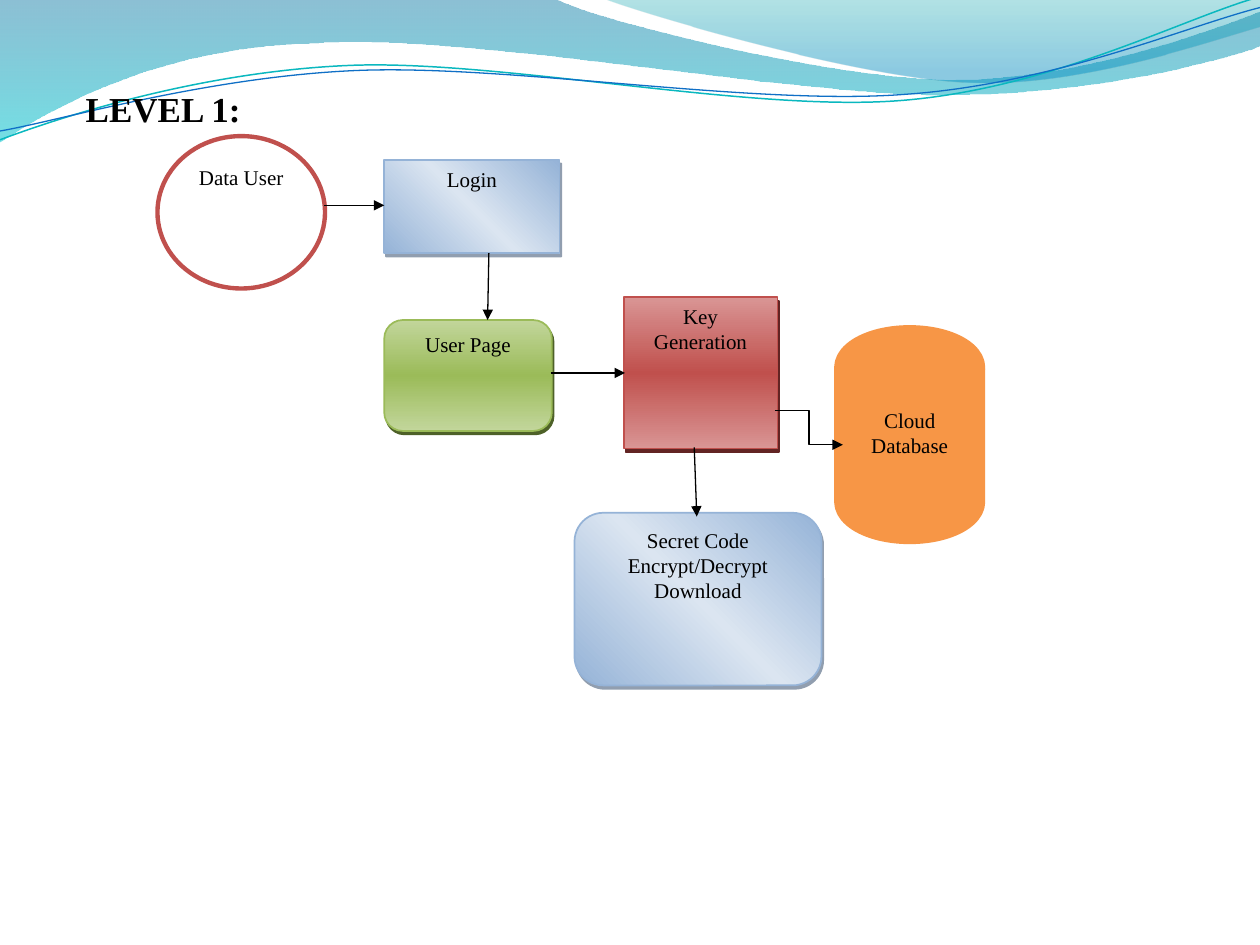
from dataclasses import dataclass
from typing import Optional

import lxml.etree
import pptx
import pptx.dml.color
import pptx.enum.shapes
import pptx.enum.text
import pptx.oxml.ns
import pptx.util

Inches = pptx.util.Inches
Pt = pptx.util.Pt
Kind = pptx.enum.shapes.MSO_SHAPE
Align = pptx.enum.text.PP_ALIGN
Anchor = pptx.enum.text.MSO_ANCHOR
qn = pptx.oxml.ns.qn
FONT = "Times New Roman"
BLACK = "000000"


@dataclass
class Gradient:
    stops: list  # (position %, colour, opacity %)
    angle: int


@dataclass
class Node:
    label: str
    kind: Kind
    place: tuple  # left, top, width, height
    fill: str
    edge: str
    edge_width: float = 1
    glow: Optional[str] = None  # middle tone of the gradient
    angle: int = 90
    shadow: Optional[tuple] = None  # colour, opacity %


@dataclass
class Arrow:
    start: tuple
    end: tuple
    elbow: bool = False


@dataclass
class Wave:
    start: tuple
    segments: list  # two numbers: a line; six numbers: a Bezier curve
    fill: Optional[Gradient] = None
    line: Optional[tuple] = None  # colour, points


WAVES = [
    Wave((0, 0), [
        (4.4, -0.01), (4.76, 0.17, 6.64, 0.63, 7.58, 0.63),
        (8.53, 0.63, 9.58, 0.26, 10, 0.09), (10.01, 0.36),
        (9.83, 0.44, 8.7, 0.76, 7.46, 0.75),
        (6.22, 0.75, 3.82, 0.28, 2.57, 0.34),
        (1.29, 0.36, 0.46, 0.83, -0.01, 1.13), (0, 0)],
        fill=Gradient([(0, "0074A1", 45), (100, "00C6CF", 55)], 90)),
    Wave((4.79, -0.01), [
        (5.09, 0.11, 6.82, 0.62, 7.69, 0.65),
        (8.56, 0.69, 9.61, 0.32, 10, 0.21), (10, 0), (4.79, -0.01)],
        fill=Gradient([(0, "00A1A9", 30), (80, "008BBF", 45)], 90)),
    Wave((0, 1.11), [
        (0.48, 0.93, 1.58, 0.57, 2.77, 0.52),
        (3.95, 0.47, 5.93, 0.89, 7.13, 0.8),
        (8.33, 0.71, 9.38, 0.15, 9.98, -0.02)], line=("0AB8BF", 0.85)),
    Wave((0, 1.04), [
        (0.47, 0.96, 1.64, 0.61, 2.83, 0.56),
        (4.03, 0.51, 5.97, 0.84, 7.17, 0.75),
        (8.36, 0.67, 9.41, 0.21, 10, 0.06)], line=("0F6FC6", 0.75)),
]

BLUE = dict(fill="95B3D7", glow="DBE5F1", edge="95B3D7", angle=315,
            shadow=("243F60", 50))
NODES = [
    Node("Key Generation", Kind.RECTANGLE, (4.95, 2.36, 1.22, 1.2), "D99594",
         "C0504D", glow="C0504D", shadow=("622423", 100)),
    Node("Data User", Kind.OVAL, (1.25, 1.08, 1.33, 1.21), "FFFFFF", "C0504D", 2.5),
    Node("Login", Kind.RECTANGLE, (3.05, 1.27, 1.39, 0.74), **BLUE),
    Node("User Page", Kind.ROUNDED_RECTANGLE, (3.05, 2.54, 1.33, 0.88), "C2D69B",
         "9BBB59", glow="9BBB59", shadow=("4E6128", 100)),
    Node("Secret Code Encrypt/Decrypt Download", Kind.ROUNDED_RECTANGLE,
         (4.56, 4.07, 1.96, 1.37), **BLUE),
    Node("Cloud Database", Kind.FLOWCHART_MAGNETIC_DISK, (6.69, 2.65, 1.06, 1.6),
         "F79646", "F79646", 10),
]

ARROWS = [
    Arrow((2.57, 1.63), (3.05, 1.63), elbow=True),
    Arrow((4.37, 2.96), (4.96, 2.96)),
    Arrow((5.51, 3.55), (5.53, 4.1)),
    Arrow((6.15, 3.26), (6.69, 3.53), elbow=True),
    Arrow((3.88, 2.01), (3.87, 2.54)),
]


def color(value: str) -> pptx.dml.color.RGBColor:
    return pptx.dml.color.RGBColor.from_string(value)


def add_xml(parent, tag: str, **attributes):
    return lxml.etree.SubElement(
        parent, qn(tag), {name: str(value) for name, value in attributes.items()})


def add_xml_color(parent, value: str, opacity: float) -> None:
    tone = add_xml(parent, "a:srgbClr", val=value)
    if opacity < 100:
        add_xml(tone, "a:alpha", val=opacity * 1000)


def set_gradient(shape, gradient: Gradient) -> None:
    shape.fill.background()
    empty = shape.element.spPr.find(qn("a:noFill"))
    fill = lxml.etree.Element(qn("a:gradFill"), rotWithShape="1")
    stops = add_xml(fill, "a:gsLst")
    for position, value, opacity in gradient.stops:
        add_xml_color(add_xml(stops, "a:gs", pos=position * 1000), value, opacity)
    add_xml(fill, "a:lin", ang=gradient.angle * 60000, scaled=0)
    empty.getparent().replace(empty, fill)


def set_line(shape, value: str, width: float) -> None:
    shape.line.color.rgb = color(value)
    shape.line.width = Pt(width)


def set_shadow(shape, value: str, opacity: float) -> None:
    effects = shape.element.spPr.find(qn("a:effectLst"))
    shadow = add_xml(effects, "a:outerShdw", dist=Pt(2.2), dir=63 * 60000,
                     algn="ctr", rotWithShape=0)
    add_xml_color(shadow, value, opacity)


def add_span(para, text: str, size: float, bold: bool = False) -> None:
    span = para.add_run()
    span.text = text
    span.font.name = FONT
    span.font.size = Pt(size)
    span.font.bold = bold
    span.font.color.rgb = color(BLACK)


def bend(shape, segments: list) -> None:
    """Join each three points of a curved segment into one Bezier curve."""
    steps = iter(list(shape.element.spPr.iter(qn("a:lnTo"))))
    for segment in segments:
        first = next(steps)
        if len(segment) == 6:
            first.tag = qn("a:cubicBezTo")
            for step in (next(steps), next(steps)):
                first.append(step[0])
                step.getparent().remove(step)


def draw_wave(page, wave: Wave) -> None:
    points = [(Inches(x), Inches(y)) for segment in wave.segments
              for x, y in zip(segment[::2], segment[1::2])]
    builder = page.shapes.build_freeform(*map(Inches, wave.start))
    builder.add_line_segments(points, close=wave.fill is not None)
    shape = builder.convert_to_shape()
    bend(shape, wave.segments)
    shape.shadow.inherit = False
    if wave.fill:
        set_gradient(shape, wave.fill)
        shape.line.fill.background()
    else:
        shape.fill.background()
        set_line(shape, *wave.line)


def draw_title(page, text: str) -> None:
    title = page.shapes.title
    title.left, title.top, title.width, title.height = map(Inches, (0.58, 0.5, 8.25, 0.55))
    title.element.getparent().append(title.element)  # in front of the waves
    frame = title.text_frame
    frame.auto_size = pptx.enum.text.MSO_AUTO_SIZE.SHAPE_TO_FIT_TEXT
    frame.vertical_anchor = Anchor.MIDDLE
    para = frame.paragraphs[0]
    para.alignment = Align.JUSTIFY
    para.line_spacing = 1.5
    add_span(para, text, 20, bold=True)


def draw_node(page, node: Node) -> None:
    box = page.shapes.add_shape(node.kind, *map(Inches, node.place))
    box.shadow.inherit = False
    if node.glow:
        tones = (node.fill, node.glow, node.fill)
        stops = [(50 * index, tone, 100) for index, tone in enumerate(tones)]
        set_gradient(box, Gradient(stops, node.angle))
    else:
        box.fill.solid()
        box.fill.fore_color.rgb = color(node.fill)
    set_line(box, node.edge, node.edge_width)
    if node.shadow:
        set_shadow(box, *node.shadow)
    frame = box.text_frame
    frame.word_wrap = True
    frame.vertical_anchor = Anchor.TOP
    para = frame.paragraphs[0]
    para.alignment = Align.CENTER
    para.space_after = Pt(10)
    add_span(para, node.label, 12)


def draw_arrow(page, arrow: Arrow) -> None:
    connector = pptx.enum.shapes.MSO_CONNECTOR
    link = page.shapes.add_connector(connector.ELBOW if arrow.elbow else connector.STRAIGHT,
                                     *map(Inches, arrow.start + arrow.end))
    set_line(link, BLACK, 0.75)
    add_xml(link.element.spPr.find(qn("a:ln")), "a:tailEnd", type="triangle")
    add_xml(link.element.spPr, "a:effectLst")


def main() -> None:
    deck = pptx.Presentation()
    deck.slide_width, deck.slide_height = Inches(10), Inches(7.5)
    page = deck.slides.add_slide(deck.slide_layouts[5])
    # Header decoration and title
    for wave in WAVES:
        draw_wave(page, wave)
    draw_title(page, "LEVEL 1:")
    # Flow diagram
    for node in NODES:
        draw_node(page, node)
    for arrow in ARROWS:
        draw_arrow(page, arrow)
    deck.save("out.pptx")


if __name__ == "__main__":
    main()
